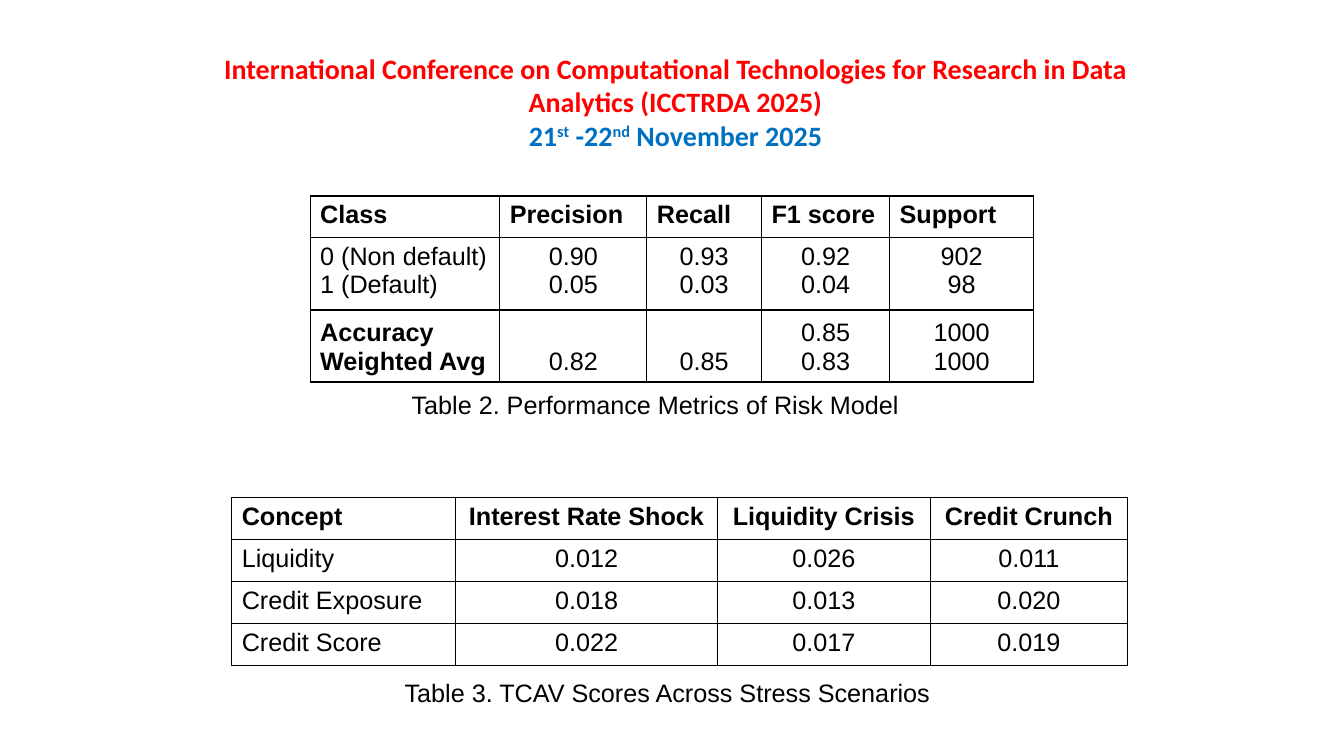
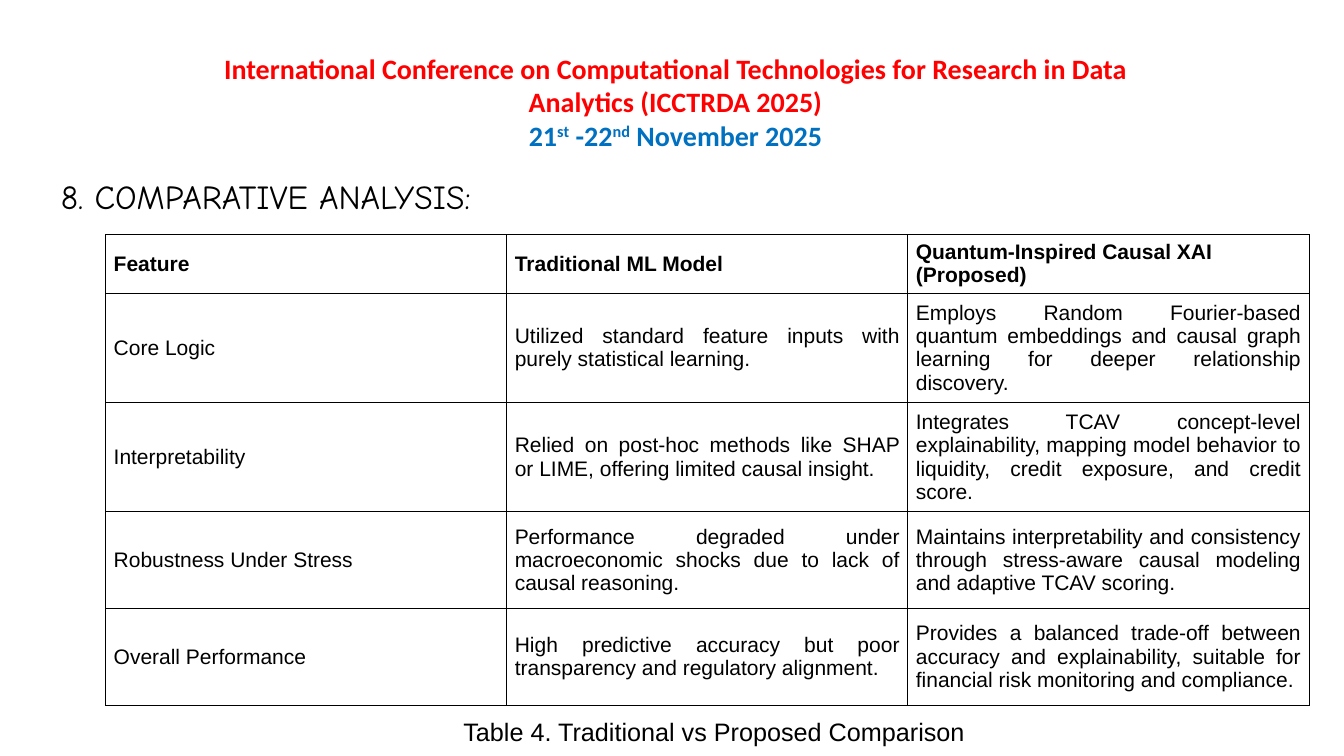
from dataclasses import dataclass

import pptx
import pptx.dml.color
import pptx.enum.text
import pptx.oxml
import pptx.oxml.ns
import pptx.util

Pt = pptx.util.Pt
ALIGN = pptx.enum.text.PP_ALIGN
ANCHOR = pptx.enum.text.MSO_ANCHOR

BLACK, RED, BLUE = "000000", "FF0000", "0070C0"
BODY_FONT, TITLE_FONT, HEADING_FONT = "Arial", "Calibri", "Comic Neue"
CONFERENCE = ("International Conference on Computational Technologies "
              "for Research in Data Analytics (ICCTRDA 2025)")
# Date pieces: text, raised or not
DATE = (("21", False), ("st", True), (" -22", False), ("nd", True),
        (" November 2025", False))


@dataclass
class Label:
    text: str
    left: float
    top: float
    width: float
    size: float = 18
    font: str = BODY_FONT


@dataclass
class Grid:
    left: float
    top: float
    cols: tuple[float, ...]
    heights: tuple[float, ...]
    rows: tuple[tuple[str, ...], ...]
    size: float = 18
    line: float = 1
    margins: tuple[float, float, float, float] = (7.2, 3.6, 7.2, 4.7)
    header_align: ALIGN = ALIGN.LEFT
    body_align: ALIGN = ALIGN.CENTER
    anchor: ANCHOR = ANCHOR.TOP
    has_summary: bool = False


# Slide content
METRICS = Grid(
    221.5, 140, (135.5, 105, 82, 91.5, 103), (29, 50.5, 50.5),
    (("Class", "Precision", "Recall", "F1 score", "Support"),
     ("0 (Non default)\n1 (Default)", "0.90\n0.05", "0.93\n0.03",
      "0.92\n0.04", "902\n98"),
     ("Accuracy\nWeighted Avg", "0.82", "0.85", "0.85\n0.83", "1000\n1000")),
    has_summary=True)

STRESS = Grid(
    165.5, 355.5, (160, 187, 152, 141), (29.25,) * 4,
    (("Concept", "Interest Rate Shock", "Liquidity Crisis", "Credit Crunch"),
     ("Liquidity", "0.012", "0.026", "0.011"),
     ("Credit Exposure", "0.018", "0.013", "0.020"),
     ("Credit Score", "0.022", "0.017", "0.019")),
    line=0.75, header_align=ALIGN.CENTER)

COMPARISON = Grid(
    75.5, 167.5, (286.5,) * 3, (42, 78, 78, 69.25, 69.25),
    (("Feature", "Traditional ML Model",
      "Quantum-Inspired Causal XAI (Proposed)"),
     ("Core Logic",
      "Utilized standard feature inputs with purely statistical learning.",
      "Employs Random Fourier-based quantum embeddings and causal graph "
      "learning for deeper relationship discovery."),
     ("Interpretability",
      "Relied on post-hoc methods like SHAP or LIME, offering limited causal "
      "insight.",
      "Integrates TCAV concept-level explainability, mapping model behavior "
      "to liquidity, credit exposure, and credit score."),
     ("Robustness Under Stress",
      "Performance degraded under macroeconomic shocks due to lack of causal "
      "reasoning.",
      "Maintains interpretability and consistency through stress-aware causal "
      "modeling and adaptive TCAV scoring."),
     ("Overall Performance",
      "High predictive accuracy but poor transparency and regulatory "
      "alignment.",
      "Provides a balanced trade-off between accuracy and explainability, "
      "suitable for financial risk monitoring and compliance.")),
    size=15, line=0.75, margins=(5.75, 2.9, 5.75, 2.9),
    body_align=ALIGN.JUSTIFY, anchor=ANCHOR.MIDDLE)

SLIDES = (
    ((METRICS, STRESS),
     (Label("Table 2. Performance Metrics of Risk Model", 294, 277, 380),
      Label("Table 3. TCAV Scores Across Stress Scenarios", 289, 482.5, 400))),
    ((COMPARISON,),
     (Label("8. COMPARATIVE ANALYSIS:", 43.5, 124, 400, 24, HEADING_FONT),
      Label("Table 4. Traditional vs Proposed Comparison", 331, 510.5, 390))),
)


# Text helpers
def rgb(color: str) -> pptx.dml.color.RGBColor:
    return pptx.dml.color.RGBColor.from_string(color)


def style_run(r, font: str, size: float, color: str = BLACK,
              bold: bool = False) -> None:
    r.font.name, r.font.size, r.font.bold = font, Pt(size), bold
    r.font.color.rgb = rgb(color)


def add_box(s, left: float, top: float, width: float, height: float):
    tf = s.shapes.add_textbox(Pt(left), Pt(top), Pt(width), Pt(height)).text_frame
    tf.word_wrap = True
    return tf


def add_label(s, label: Label) -> None:
    tf = add_box(s, label.left, label.top, label.width, label.size * 4 / 3)
    tf.margin_left = tf.margin_right = tf.margin_top = tf.margin_bottom = 0
    tf.vertical_anchor = ANCHOR.MIDDLE
    tf.text = label.text
    style_run(tf.paragraphs[0].runs[0], label.font, label.size)


# Conference title shared by all slides
def add_title(s) -> None:
    tf = add_box(s, 115, 33, 735, 81)
    tf.text = CONFERENCE
    style_run(tf.paragraphs[0].runs[0], TITLE_FONT, 20, RED, True)
    p = tf.add_paragraph()
    for text, raised in DATE:
        r = p.add_run()
        r.text = text
        style_run(r, TITLE_FONT, 20, BLUE, True)
        if raised:
            r.font._element.set("baseline", "30000")
    for p in tf.paragraphs:
        p.alignment = ALIGN.CENTER


# Tables
def set_borders(cell, width: float) -> None:
    tc_pr = cell._tc.get_or_add_tcPr()
    for i, side in enumerate(("lnL", "lnR", "lnT", "lnB")):
        tc_pr.insert(i, pptx.oxml.parse_xml(
            f'<a:{side} {pptx.oxml.ns.nsdecls("a")} w="{Pt(width)}">'
            f'<a:solidFill><a:srgbClr val="{BLACK}"/></a:solidFill></a:{side}>'))


def fill_cell(cell, text: str, grid: Grid, align: ALIGN, anchor: ANCHOR,
              bold: bool) -> None:
    cell.fill.background()
    set_borders(cell, grid.line)
    (cell.margin_left, cell.margin_top,
     cell.margin_right, cell.margin_bottom) = map(Pt, grid.margins)
    cell.vertical_anchor = anchor
    cell.text_frame.text = text
    for p in cell.text_frame.paragraphs:
        p.alignment = align
        for r in p.runs:
            style_run(r, BODY_FONT, grid.size, bold=bold)


def add_grid(s, grid: Grid) -> None:
    table = s.shapes.add_table(
        len(grid.rows), len(grid.cols), Pt(grid.left), Pt(grid.top),
        Pt(sum(grid.cols)), Pt(sum(grid.heights))).table
    table.first_row = table.horz_banding = False
    for col, width in zip(table.columns, grid.cols):
        col.width = Pt(width)
    for i, (row, height) in enumerate(zip(grid.rows, grid.heights)):
        table.rows[i].height = Pt(height)
        is_summary = grid.has_summary and i == len(grid.rows) - 1
        anchor = ANCHOR.BOTTOM if is_summary else grid.anchor
        for j, text in enumerate(row):
            align = grid.body_align if i else grid.header_align
            fill_cell(table.cell(i, j), text, grid,
                      align if j else ALIGN.LEFT, anchor,
                      i == 0 or (is_summary and j == 0))


def main() -> None:
    prs = pptx.Presentation()
    prs.slide_width, prs.slide_height = Pt(960), Pt(540)
    for grids, labels in SLIDES:
        s = prs.slides.add_slide(prs.slide_layouts[6])
        add_title(s)
        for grid in grids:
            add_grid(s, grid)
        for label in labels:
            add_label(s, label)
    prs.save("out.pptx")


if __name__ == "__main__":
    main()
